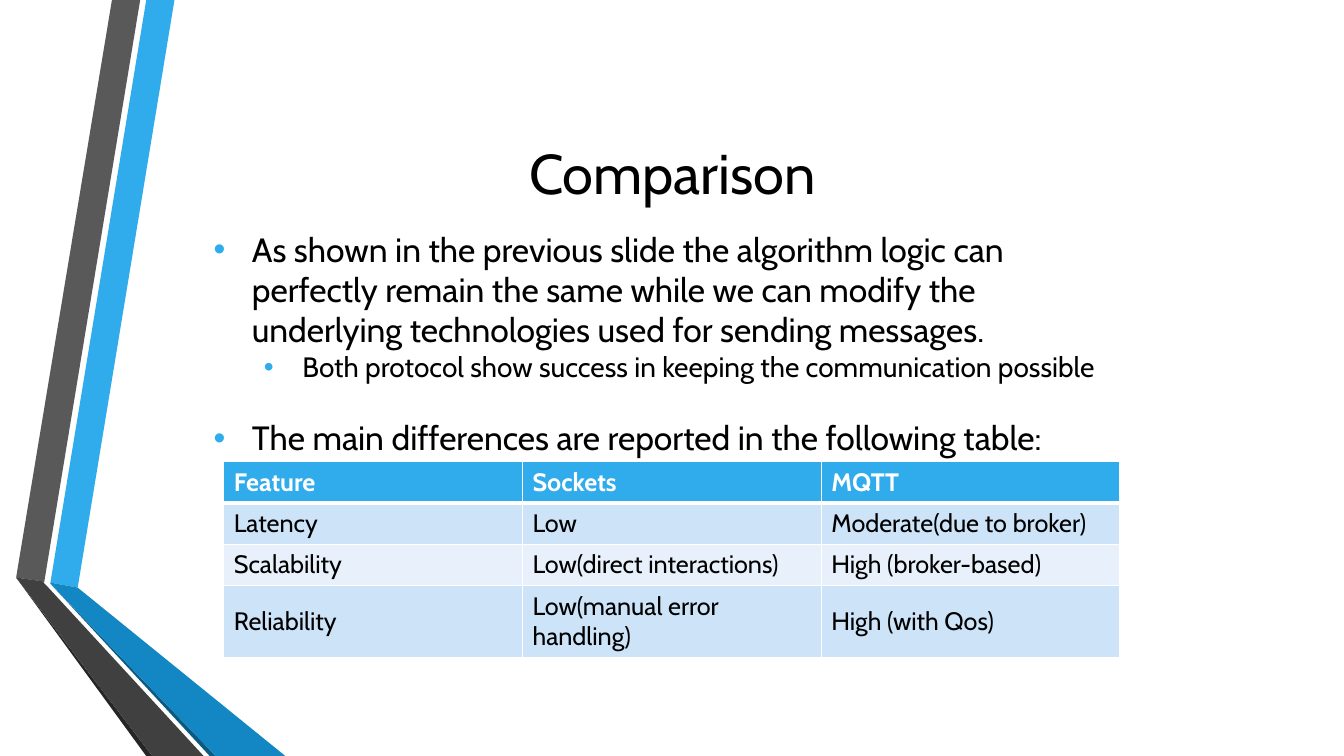
from lxml import etree
from pptx import Presentation
from pptx.dml.color import RGBColor
from pptx.enum.text import MSO_ANCHOR, PP_ALIGN
from pptx.oxml.ns import qn
from pptx.util import Inches, Pt

MIDDLE, TOP = MSO_ANCHOR.MIDDLE, MSO_ANCHOR.TOP
CENTER, LEFT = PP_ALIGN.CENTER, PP_ALIGN.LEFT
FONT = "Cabin"
ACCENT, BLACK, WHITE = "30ACEC", "000000", "FFFFFF"
BANDS = ("CDE3F8", "E8F1FB")
TITLE_ONLY = 5

RIBBONS = [
    (ACCENT, [(3.75, 77.07), (5.78, 77.73), (12.98, 0), (10.88, 0)]),
    ("595959", [(10.43, 0), (8.33, 0), (1.2, 76.4), (3.3, 76.93)]),
    ("262626", [(1.2, 76.4), (10.88, 100), (11.33, 100)]),
    ("0C5A82", [(3.75, 77.2), (15.6, 100), (16.05, 100)]),
    ("1287C3", [(3.75, 77.2), (16.05, 100), (21.23, 100), (5.78, 77.73), (3.75, 77.07)]),
    ("404040", [(15.15, 100), (3.6, 77.73), (3.23, 77.07), (3.3, 76.93), (1.2, 76.4), (11.33, 100)]),
]
POINTS = [
    (0, "As shown in the previous slide the algorithm logic can perfectly remain the same "
        "while we can modify the underlying technologies used for sending messages.", 0),
    (1, "Both protocol show success in keeping the communication possible", 0),
    (0, "The main differences are reported in the following table:", 24.3),
]
FEATURES = [
    ("Feature", "Sockets", "MQTT"),
    ("Latency", "Low", "Moderate(due to broker)"),
    ("Scalability", "Low(direct interactions)", "High (broker-based)"),
    ("Reliability", "Low(manual error handling)", "High (with Qos)"),
]


def color(value):
    return RGBColor.from_string(value)


def share(box, left, top, width, height):
    x, y, w, h = box
    return (int(x + w * left / 100), int(y + h * top / 100),
            int(w * width / 100), int(h * height / 100))


def style(paragraph, size, fill=BLACK, bold=False):
    for run in paragraph.runs:
        run.font.name = FONT
        run.font.size = Pt(size)
        run.font.bold = bold
        run.font.color.rgb = color(fill)


def add_bullet(paragraph, indent):
    properties = paragraph._p.get_or_add_pPr()
    properties.set("marL", str(Inches(indent)))
    properties.set("indent", str(-Inches(0.38)))
    bullet_color = etree.SubElement(properties, qn("a:buClr"))
    etree.SubElement(bullet_color, qn("a:srgbClr"), val=ACCENT)
    etree.SubElement(properties, qn("a:buFont"), typeface="Arial")
    etree.SubElement(properties, qn("a:buChar"), char="•")


def add_borders(cell, bottom):
    properties = cell._tc.get_or_add_tcPr()
    for side, width in (("L", 1), ("R", 1), ("T", 1), ("B", bottom)):
        line = etree.SubElement(properties, qn(f"a:ln{side}"), w=str(Pt(width)))
        fill = etree.SubElement(line, qn("a:solidFill"))
        etree.SubElement(fill, qn("a:srgbClr"), val=WHITE)


def draw_ribbons(slide, box):
    for fill, outline in RIBBONS:
        corners = [share(box, x, y, 0, 0)[:2] for x, y in outline]
        builder = slide.shapes.build_freeform(*corners[0])
        builder.add_line_segments(corners[1:], close=True)
        ribbon = builder.convert_to_shape()
        ribbon.shadow.inherit = False
        ribbon.fill.solid()
        ribbon.fill.fore_color.rgb = color(fill)
        ribbon.line.fill.background()


def place_title(slide, box):
    heading = slide.shapes.title
    heading.left, heading.top, heading.width, heading.height = box
    heading.text_frame.text = "Comparison"
    heading.text_frame.vertical_anchor = MIDDLE
    paragraph = heading.text_frame.paragraphs[0]
    paragraph.alignment = CENTER
    style(paragraph, 40)


def draw_points(slide, box):
    frame = slide.shapes.add_textbox(*box).text_frame
    frame.word_wrap = True
    frame.vertical_anchor = TOP
    for index, (level, sentence, gap) in enumerate(POINTS):
        paragraph = frame.add_paragraph() if index else frame.paragraphs[0]
        paragraph.text = sentence
        paragraph.level = level
        paragraph.alignment = LEFT
        paragraph.space_before = Pt(gap)
        add_bullet(paragraph, 0.38 + 0.5 * level)
        style(paragraph, 24 - 4 * level)


def draw_features(slide, box):
    table = slide.shapes.add_table(len(FEATURES), len(FEATURES[0]), *box).table
    table.horz_banding = False
    for r, values in enumerate(FEATURES):
        header = r == 0
        for c, value in enumerate(values):
            cell = table.cell(r, c)
            cell.text = value
            cell.vertical_anchor = MIDDLE
            add_borders(cell, 3 if header else 1)
            cell.fill.solid()
            cell.fill.fore_color.rgb = color(ACCENT if header else BANDS[(r - 1) % 2])
            style(cell.text_frame.paragraphs[0], 18, WHITE if header else BLACK, header)


def main():
    deck = Presentation()
    deck.slide_width, deck.slide_height = Inches(13.33), Inches(7.5)
    slide = deck.slides.add_slide(deck.slide_layouts[TITLE_ONLY])
    page = (0, 0, deck.slide_width, deck.slide_height)
    draw_ribbons(slide, page)
    place_title(slide, share(page, 8.93, 10, 82.22, 25.6))
    draw_features(slide, share(page, 16.65, 61.07, 66.69, 21.87))
    draw_points(slide, share(page, 15.15, 29.6, 69.77, 62.8))
    deck.save("out.pptx")


if __name__ == "__main__":
    main()
